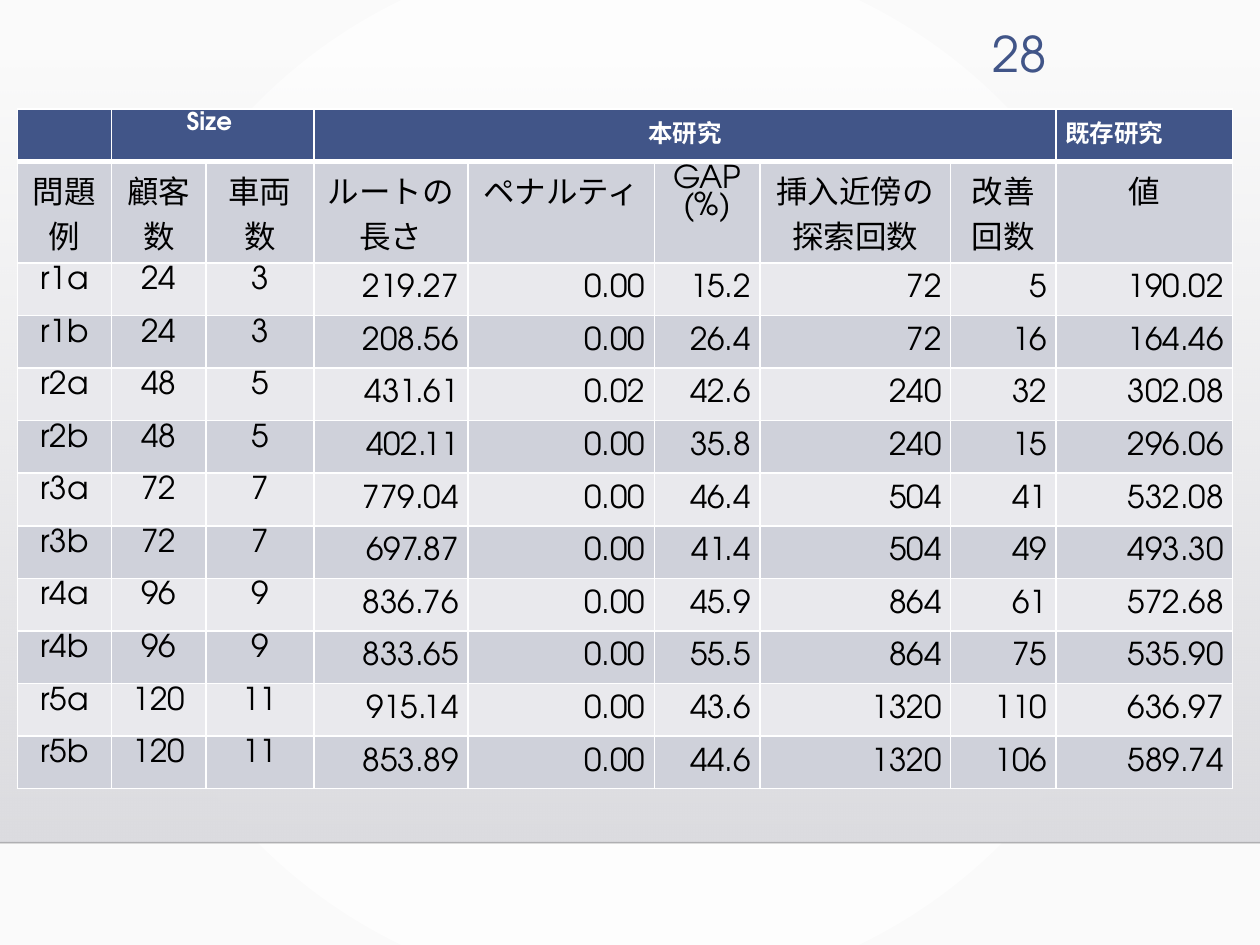
from pptx import Presentation
from pptx.dml.color import RGBColor
from pptx.enum.shapes import MSO_CONNECTOR, MSO_SHAPE
from pptx.enum.text import MSO_ANCHOR as ANCHOR, PP_ALIGN as ALIGN
from pptx.oxml import parse_xml
from pptx.oxml.ns import nsdecls
from pptx.util import Cm, Pt

FONT = "TeX Gyre Adventor"
COLORS = {
    "accent": "415588", "white": "FFFFFF", "black": "000000",
    "odd": "CFD1DA", "even": "E9E9ED",
    "bg_edge": "FAFAFA", "band_top": "DCDCE0", "band_bottom": "DEDEE2",
    "rule": "000001",
}
SLIDE_W, SLIDE_H = Cm(25.4), Cm(19.05)
BAND_TOP, BAND_BOTTOM = Cm(1.3), Cm(16.99)
TIGHT = 0.92  # line spacing of the Latin text in the label cells

COL_WIDTHS = [1.9, 1.9, 2.18, 3.1, 3.76, 2.13, 3.84, 2.13, 3.56]
GROUP_ROW_H, HEAD_ROW_H, DATA_ROW_H = 1.06, 1.98, 1.06
LABEL_COLS = 3  # instance, customers, vehicles

# first column, last column, text, alignment, line spacing
GROUPS = [
    (1, 2, "Size ", ALIGN.CENTER, TIGHT),
    (3, 7, "本研究", ALIGN.CENTER, None),
    (8, 8, "既存研究", ALIGN.LEFT, None),
]
HEADINGS = ["問題例", "顧客数", "車両数", "ルートの長さ", "ペナルティ",
            "GAP (%)", "挿入近傍の\n探索回数", "改善回数", "値"]
RESULTS = [
    ("r1a", "24", "3", "219.27", "0.00", "15.2", "72", "5", "190.02"),
    ("r1b", "24", "3", "208.56", "0.00", "26.4", "72", "16", "164.46"),
    ("r2a", "48", "5", "431.61", "0.02", "42.6", "240", "32", "302.08"),
    ("r2b", "48", "5", "402.11", "0.00", "35.8", "240", "15", "296.06"),
    ("r3a", "72", "7", "779.04", "0.00", "46.4", "504", "41", "532.08"),
    ("r3b", "72", "7", "697.87", "0.00", "41.4", "504", "49", "493.30"),
    ("r4a", "96", "9", "836.76", "0.00", "45.9", "864", "61", "572.68"),
    ("r4b", "96", "9", "833.65", "0.00", "55.5", "864", "75", "535.90"),
    ("r5a", "120", "11", "915.14", "0.00", "43.6", "1320", "110", "636.97"),
    ("r5b", "120", "11", "853.89", "0.00", "44.6", "1320", "106", "589.74"),
]


def rgb(name):
    return RGBColor.from_string(COLORS[name])


def add_text(tf, text, size, color, align, bold=False, spacing=None):
    for i, line in enumerate(text.split("\n")):
        p = tf.paragraphs[0] if i == 0 else tf.add_paragraph()
        p.alignment = align
        p.line_spacing = spacing
        r = p.add_run()
        r.text = line
        r.font.name = FONT
        r.font.size = Pt(size)
        r.font.bold = bold
        r.font.color.rgb = rgb(color)


def gradient_xml(start, end, shade, start_alpha=100):
    return (f'<a:gradFill {nsdecls("a")} rotWithShape="1"><a:gsLst>'
            f'<a:gs pos="0"><a:srgbClr val="{COLORS[start]}">'
            f'<a:alpha val="{start_alpha * 1000}"/></a:srgbClr></a:gs>'
            f'<a:gs pos="100000"><a:srgbClr val="{COLORS[end]}"/></a:gs>'
            f'</a:gsLst>{shade}</a:gradFill>')


def set_background(slide):
    shade = ('<a:path path="circle"><a:fillToRect l="50000" t="50000" '
             'r="50000" b="50000"/></a:path>')
    bg = parse_xml(f'<p:bg {nsdecls("p", "a")}><p:bgPr>'
                   f'{gradient_xml("white", "bg_edge", shade)}'
                   '<a:effectLst/></p:bgPr></p:bg>')
    slide.element.cSld.insert(0, bg)


def add_band(slide):
    sp = slide.shapes.add_shape(MSO_SHAPE.RECTANGLE, 0, BAND_TOP, SLIDE_W,
                                BAND_BOTTOM - BAND_TOP)
    sp.shadow.inherit = False
    sp.line.fill.background()
    shade = '<a:lin ang="5400000" scaled="0"/>'
    grad = parse_xml(gradient_xml("band_top", "band_bottom", shade, 0))
    sp.element.spPr.find("{*}prstGeom").addnext(grad)


def add_rule(slide):
    cn = slide.shapes.add_connector(MSO_CONNECTOR.STRAIGHT, 0, BAND_BOTTOM,
                                    SLIDE_W, BAND_BOTTOM)
    cn.line.width = Pt(1)
    cn.line.color.rgb = rgb("rule")
    color = cn.element.spPr.find(".//{*}srgbClr")
    color.append(parse_xml(f'<a:alpha {nsdecls("a")} val="20000"/>'))
    cn.element.spPr.append(parse_xml(f'<a:effectLst {nsdecls("a")}/>'))


def style_cell(cell, fill, top=1, bottom=1):
    cell.margin_left = cell.margin_right = Cm(0.18)
    cell.margin_top = cell.margin_bottom = Cm(0.1)
    tc_pr = cell._tc.get_or_add_tcPr()
    for side, width in zip("LRTB", (1, 1, top, bottom)):
        tc_pr.append(parse_xml(
            f'<a:ln{side} {nsdecls("a")} w="{Pt(width)}"><a:solidFill>'
            f'<a:srgbClr val="{COLORS["white"]}"/></a:solidFill></a:ln{side}>'))
    cell.fill.solid()
    cell.fill.fore_color.rgb = rgb(fill)


def add_results_table(slide):
    heights = [GROUP_ROW_H, HEAD_ROW_H] + [DATA_ROW_H] * len(RESULTS)
    frame = slide.shapes.add_table(len(heights), len(COL_WIDTHS), Cm(0.35), Cm(2.2),
                                   Cm(sum(COL_WIDTHS)), Cm(sum(heights)))
    table = frame.table
    for column, width in zip(table.columns, COL_WIDTHS):
        column.width = Cm(width)
    for row, height in zip(table.rows, heights):
        row.height = Cm(height)

    # Fills and borders
    for i, row in enumerate(table.rows):
        fill = "accent" if i == 0 else "odd" if i % 2 else "even"
        for cell in row.cells:
            style_cell(cell, fill, top=3 if i == 1 else 1, bottom=3 if i == 0 else 1)

    # Group headings
    for first, last, text, align, spacing in GROUPS:
        cell = table.cell(0, first)
        if last > first:
            cell.merge(table.cell(0, last))
        add_text(cell.text_frame, text, 14, "white", align, True, spacing)

    # Column headings
    for c, text in enumerate(HEADINGS):
        add_text(table.cell(1, c).text_frame, text, 18, "black", ALIGN.CENTER,
                 spacing=TIGHT if text.isascii() else None)

    # Results
    for i, values in enumerate(RESULTS, start=2):
        for c, text in enumerate(values):
            cell = table.cell(i, c)
            if c < LABEL_COLS:
                add_text(cell.text_frame, text, 18, "black", ALIGN.CENTER, spacing=TIGHT)
            else:
                cell.vertical_anchor = ANCHOR.MIDDLE
                add_text(cell.text_frame, text, 18, "black", ALIGN.RIGHT)


def add_page_number(slide):
    tf = slide.shapes.add_textbox(Cm(19.14), Cm(0.37), Cm(2.21), Cm(1.4)).text_frame
    tf.word_wrap = True
    tf.vertical_anchor = ANCHOR.MIDDLE
    add_text(tf, "28", 28, "accent", ALIGN.RIGHT)


def main():
    prs = Presentation()
    prs.slide_width, prs.slide_height = SLIDE_W, SLIDE_H
    slide = prs.slides.add_slide(prs.slide_layouts[6])
    set_background(slide)
    add_band(slide)
    add_rule(slide)
    add_results_table(slide)
    add_page_number(slide)
    prs.save("out.pptx")


if __name__ == "__main__":
    main()
